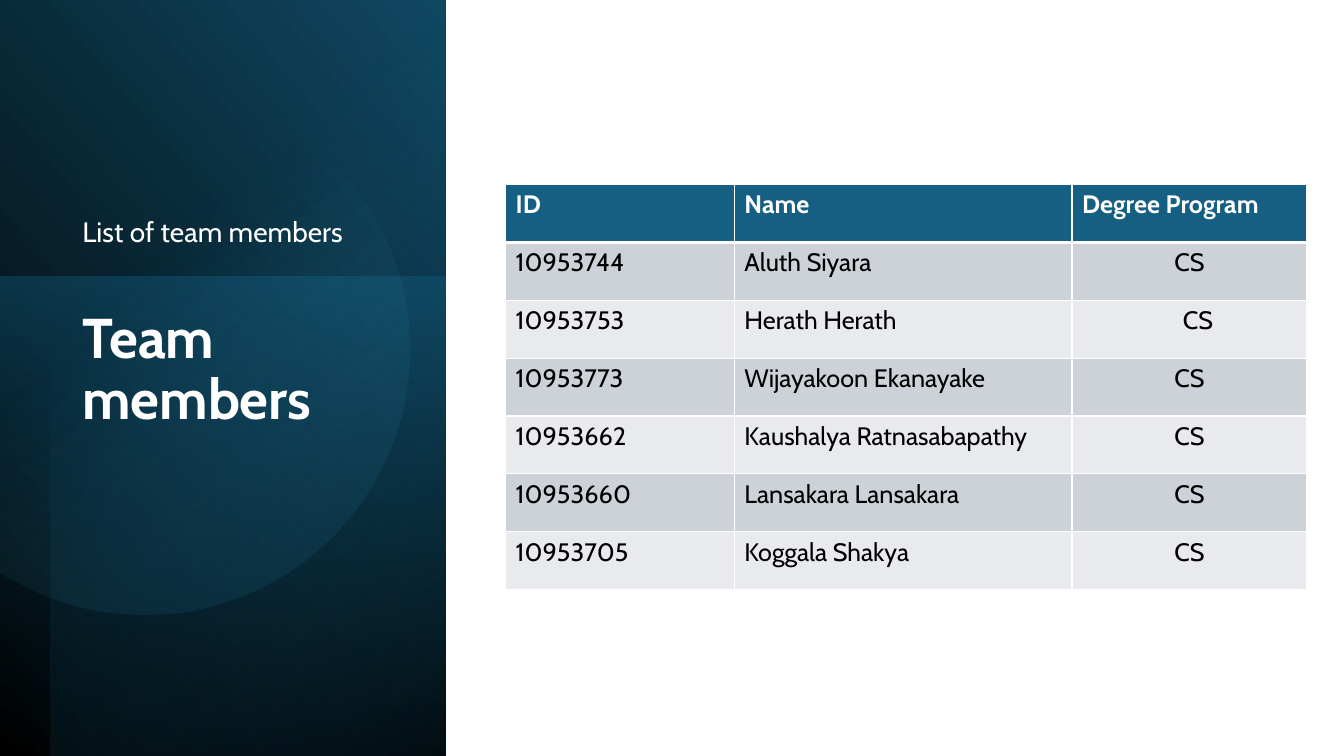
from math import acos, cos, pi, sin

from lxml import etree
from pptx import Presentation
from pptx.dml.color import RGBColor
from pptx.enum.shapes import MSO_SHAPE
from pptx.enum.text import MSO_ANCHOR, PP_ALIGN
from pptx.oxml.ns import qn
from pptx.util import Pt

RECTANGLE = MSO_SHAPE.RECTANGLE
TOP, BOTTOM = MSO_ANCHOR.TOP, MSO_ANCHOR.BOTTOM
CENTER = PP_ALIGN.CENTER

FONT = "Cabin"
WHITE, BLACK, TEAL = "FFFFFF", "000000", "156082"
BANDS = ("CCD2D8", "E8EAED")

HEADINGS = ("ID", "Name", "Degree Program")
MEMBERS = (
    ("10953744", "Aluth Siyara", "CS"),
    ("10953753", "Herath Herath", "CS"),
    ("10953773", "Wijayakoon Ekanayake", "CS"),
    ("10953662", "Kaushalya Ratnasabapathy", "CS"),
    ("10953660", "Lansakara Lansakara", "CS"),
    ("10953705", "Koggala Shakya", "CS"),
)
COLUMN_WIDTHS = (163.4, 241.2, 167.8)
ROW_HEIGHT = 41.35
INDENTED_ROW = 2  # its programme is indented from the left, not centred


def color(value):
    return RGBColor.from_string(value)


def set_font(para, size, value, bold=False):
    font = para.font
    font.name, font.size, font.bold = FONT, Pt(size), bold
    font.color.rgb = color(value)


def paint_gradient(shape, stops, angle):
    """Stops are (position, colour, opacity %); the angle runs clockwise."""
    shape.shadow.inherit = False
    shape.line.fill.background()
    shape.fill.gradient()
    shape.fill.gradient_angle = (360 - angle) % 360
    for stop, (position, value, _) in zip(shape.fill.gradient_stops, stops):
        stop.position = position
        stop.color.rgb = color(value)
    gradient = shape._element.spPr.find(qn("a:gradFill"))
    for node, (_, _, opacity) in zip(gradient.iter(qn("a:srgbClr")), stops):
        etree.SubElement(node, qn("a:alpha"), val=str(opacity * 1000))


def add_panel(page, at, rotation, flipped, stops, angle):
    panel = page.shapes.add_shape(RECTANGLE, *map(Pt, at))
    panel.rotation = rotation
    if flipped:
        panel._element.spPr.find(qn("a:xfrm")).set("flipH", "1")
    paint_gradient(panel, stops, angle)


def add_cut_circle(page, center_x, center_y, radius, stops, angle):
    """A circle cut off by the left edge of the slide."""
    limit, steps = acos(-center_x / radius), 120
    turns = [limit * (2 * step / steps - 1) for step in range(steps + 1)]
    points = [(Pt(center_x + radius * cos(turn)), Pt(center_y + radius * sin(turn)))
              for turn in turns]
    builder = page.shapes.build_freeform(*points[0])
    builder.add_line_segments(points[1:], close=True)
    paint_gradient(builder.convert_to_shape(), stops, angle)


def add_text(page, at, text, size, bold, anchor):
    box = page.shapes.add_textbox(*map(Pt, at))
    frame = box.text_frame
    frame.word_wrap = True
    frame.vertical_anchor = anchor
    para = frame.paragraphs[0]
    para.text = text
    para.line_spacing = 0.9
    set_font(para, size, WHITE, bold)


def set_borders(cell, bottom):
    props = cell._tc.get_or_add_tcPr()
    widths = {"a:lnL": 1, "a:lnR": 1, "a:lnT": 1, "a:lnB": bottom}
    for place, (tag, width) in enumerate(widths.items()):
        line = etree.Element(qn(tag), w=str(Pt(width)))
        fill = etree.SubElement(line, qn("a:solidFill"))
        etree.SubElement(fill, qn("a:srgbClr"), val=WHITE)
        props.insert(place, line)


def add_member_table(page, left, top):
    rows = (HEADINGS,) + MEMBERS
    table = page.shapes.add_table(
        len(rows), len(HEADINGS), Pt(left), Pt(top),
        Pt(sum(COLUMN_WIDTHS)), Pt(ROW_HEIGHT * len(rows))).table
    for column, width in zip(table.columns, COLUMN_WIDTHS):
        column.width = Pt(width)
    for r, texts in enumerate(rows):
        table.rows[r].height = Pt(ROW_HEIGHT)
        header = r == 0
        for c, text in enumerate(texts):
            cell = table.cell(r, c)
            cell.fill.solid()
            cell.fill.fore_color.rgb = color(TEAL if header else BANDS[(r - 1) % 2])
            set_borders(cell, 3 if header else 1)
            para = cell.text_frame.paragraphs[0]
            para.text = text
            set_font(para, 18, WHITE if header else BLACK, header)
            if c == 2 and r == INDENTED_ROW:
                para._p.get_or_add_pPr().set("marL", str(Pt(72)))
            elif c == 2 and not header:
                para.alignment = CENTER


def main():
    deck = Presentation()
    deck.slide_width, deck.slide_height = Pt(960), Pt(540)
    page = deck.slides.add_slide(deck.slide_layouts[6])

    # Layered dark panel on the left
    add_panel(page, (-111.6, 111.6, 541.4, 318.2), 90, True,
              ((0, BLACK, 100), (1, "104862", 100)), 310)
    add_panel(page, (-12.2, 209.5, 342.7, 318.2), 270, False,
              ((0, TEAL, 50), (1, "0B3041", 0)), 190)
    add_panel(page, (-92.9, 128.9, 540, 282.2), 270, True,
              ((0, BLACK, 59), (0.69, TEAL, 0)), 220)
    add_cut_circle(page, 103, 249.5, 189.5,
                   ((0.39, "46B1E1", 0), (1, "104862", 26)), 52)

    # Title and subtitle
    add_text(page, (51.8, 218.2, 226.8, 241.9), "Team members", 40, True, TOP)
    add_text(page, (51.8, 63.4, 229.7, 117.4), "List of team members", 20, False, BOTTOM)

    # Team list
    add_member_table(page, 361.2, 131.8)

    deck.save("out.pptx")


if __name__ == "__main__":
    main()
